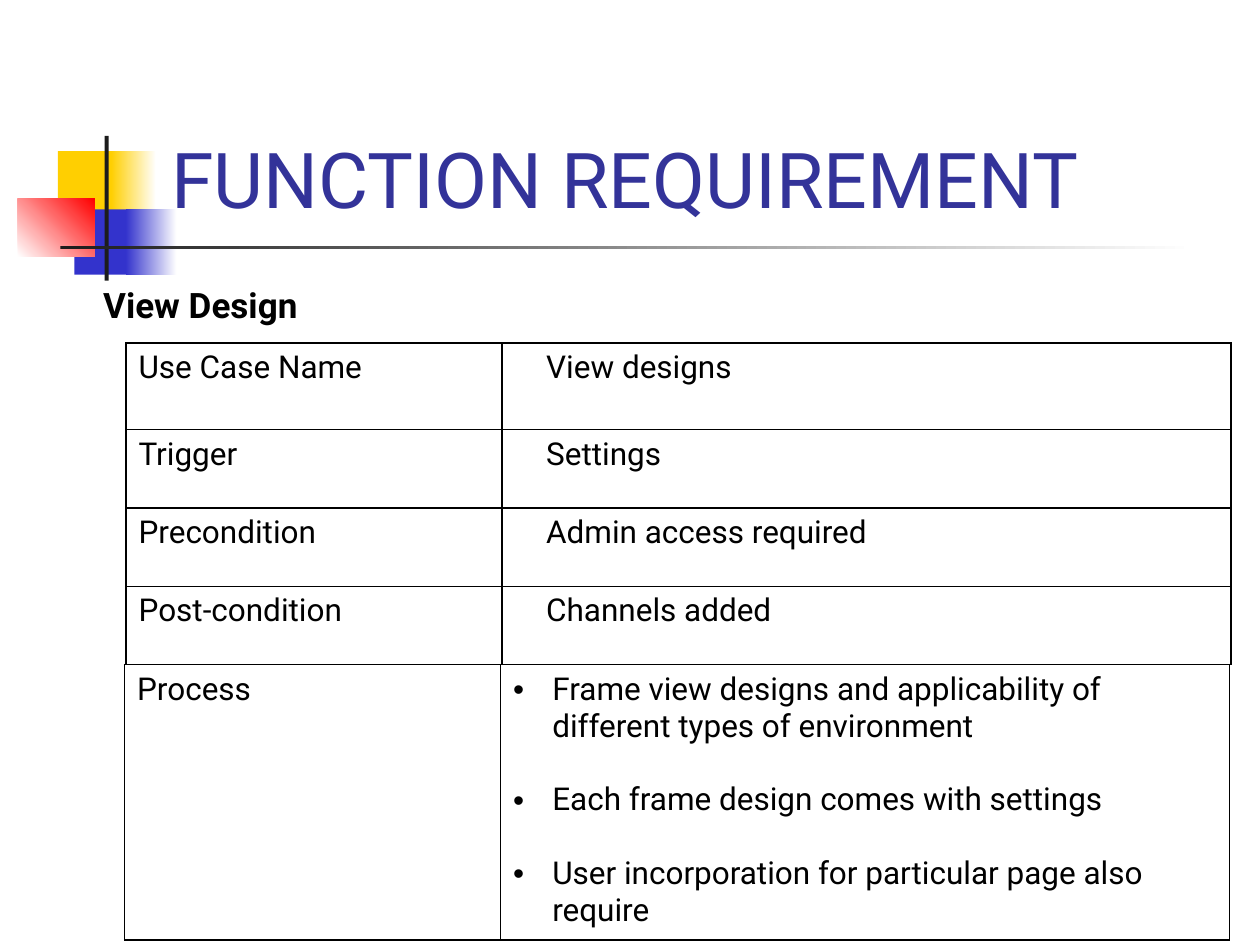
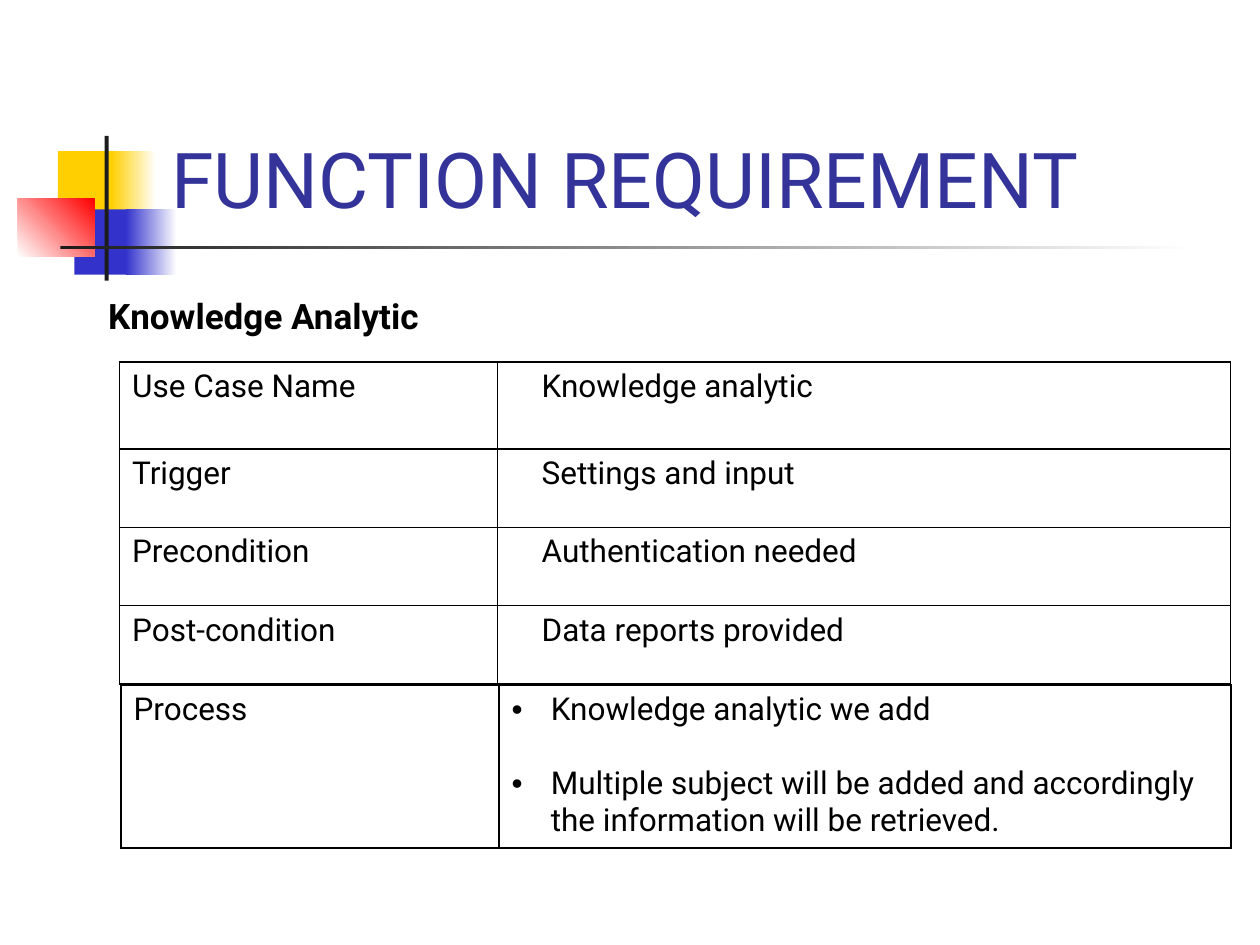
"""Build two use-case slides that share a title style and a corner ornament."""
from dataclasses import dataclass
from typing import Any, Optional

from lxml import etree
from pptx import Presentation
from pptx import util as u
from pptx.dml.color import RGBColor
from pptx.enum import shapes, text
from pptx.oxml import ns


@dataclass(frozen=True)
class Theme:
    font: str = "Roboto"
    title: str = "333399"
    ink: str = "000000"
    paper: str = "FFFFFF"
    yellow: str = "FFCF01"
    blue: str = "3333CC"
    red: str = "FF0000"
    charcoal: str = "1C1C1C"
    title_size: int = 44
    heading_size: int = 20
    body_size: int = 18
    bullet_gap: int = 21
    border_width: int = 1


THEME = Theme()


@dataclass(frozen=True)
class Box:
    left: float
    top: float
    width: float
    height: float

    def lengths(self) -> tuple[u.Cm, ...]:
        return tuple(u.Cm(value) for value in (self.left, self.top, self.width, self.height))


@dataclass(frozen=True)
class Block:
    box: Box
    color: str
    fade_to: Optional[str] = None
    angle: int = 0


@dataclass(frozen=True)
class Grid:
    left: float
    top: float
    columns: tuple[float, float]
    rows: tuple[float, ...]


@dataclass(frozen=True)
class UseCase:
    heading: str
    heading_box: Box
    facts_grid: Grid
    facts: tuple[str, str, str, str]
    process_grid: Grid
    steps: tuple[str, ...]


TITLE = "FUNCTION REQUIREMENT"
TITLE_BOX = Box(3.2, 0.58, 21.64, 4.06)
FACT_LABELS = ("Use Case Name", "Trigger", "Precondition", "Post-condition")
FACT_ROWS = (1.75, 1.58, 1.58, 1.58)
VALUE_MARGIN = 0.89
BULLET_INDENT = 0.79

ORNAMENT = (
    Block(Box(1.17, 3.05, 1.22, 1.32), THEME.yellow),
    Block(Box(2.24, 3.05, 0.91, 1.32), THEME.yellow, THEME.paper),
    Block(Box(1.5, 4.22, 1.17, 1.32), THEME.blue),
    Block(Box(2.54, 4.22, 1.02, 1.32), THEME.blue, THEME.paper),
    Block(Box(0.36, 4.01, 1.55, 1.17), THEME.paper, THEME.red, 45),
    Block(Box(2.11, 2.74, 0.08, 2.92), THEME.charcoal),
    Block(Box(1.22, 4.95, 22.86, 0.08), THEME.charcoal, THEME.paper),
)

USE_CASES = (
    UseCase(
        "View Design",
        Box(1.83, 5.59, 7.62, 1.12),
        Grid(2.54, 6.91, (7.58, 14.7), FACT_ROWS),
        ("View designs", "Settings", "Admin access required", "Channels added"),
        Grid(2.51, 13.4, (7.58, 14.7), (5.46,)),
        (
            "Frame view designs and applicability of different types of environment",
            "Each frame design comes with settings",
            "User incorporation for particular page also require",
        ),
    ),
    UseCase(
        "Knowledge Analytic",
        Box(1.93, 5.82, 7.62, 1.96),
        Grid(2.41, 7.3, (7.62, 14.78), FACT_ROWS),
        ("Knowledge analytic", "Settings and input", "Authentication needed", "Data reports provided"),
        Grid(2.44, 13.81, (7.62, 14.76), (3.25,)),
        (
            "Knowledge analytic we add",
            "Multiple subject will be added and accordingly the information will be retrieved.",
        ),
    ),
)


def apply_formats(target: Any, formats: dict[str, Any]) -> None:
    """Set every named attribute on the target."""
    for name, value in formats.items():
        setattr(target, name, value)


def write(paragraph: Any, content: str, size: int, color: str = THEME.ink, bold: bool = False) -> None:
    """Put one formatted run into the paragraph."""
    run = paragraph.add_run()
    run.text = content
    apply_formats(run.font, {"name": THEME.font, "size": u.Pt(size), "bold": bold})
    run.font.color.rgb = RGBColor.from_string(color)


def draw_block(slide: Any, block: Block) -> None:
    """Draw one solid or fading rectangle of the ornament."""
    shape = slide.shapes.add_shape(shapes.MSO_SHAPE.RECTANGLE, *block.box.lengths())
    shape.shadow.inherit = False
    shape.line.fill.background()
    if block.fade_to is None:
        shape.fill.solid()
        shape.fill.fore_color.rgb = RGBColor.from_string(block.color)
        return
    shape.fill.gradient()
    shape.fill.gradient_angle = block.angle
    for stop, color in zip(shape.fill.gradient_stops, (block.color, block.fade_to)):
        stop.color.rgb = RGBColor.from_string(color)


def draw_text(slide: Any, box: Box, content: str, anchor: Any, **style: Any) -> None:
    """Add a wrapped text box with a single paragraph."""
    frame = slide.shapes.add_textbox(*box.lengths()).text_frame
    apply_formats(frame, {"word_wrap": True, "vertical_anchor": anchor})
    write(frame.paragraphs[0], content, **style)


def style_cell(cell: Any) -> None:
    """Give the cell thin borders on all sides and no fill."""
    properties = cell._tc.get_or_add_tcPr()
    for side in ("a:lnL", "a:lnR", "a:lnT", "a:lnB"):
        line = etree.SubElement(properties, ns.qn(side), w=str(u.Pt(THEME.border_width)))
        fill = etree.SubElement(line, ns.qn("a:solidFill"))
        etree.SubElement(fill, ns.qn("a:srgbClr"), val=THEME.ink)
    cell.fill.background()


def draw_table(slide: Any, grid: Grid) -> Any:
    """Add a bordered table without a banded style."""
    box = Box(grid.left, grid.top, sum(grid.columns), sum(grid.rows))
    table = slide.shapes.add_table(len(grid.rows), len(grid.columns), *box.lengths()).table
    apply_formats(table, {"first_row": False, "horz_banding": False})
    for column, width in zip(table.columns, grid.columns):
        column.width = u.Cm(width)
    for row, height in zip(table.rows, grid.rows):
        row.height = u.Cm(height)
    for cell in table.iter_cells():
        style_cell(cell)
    return table


def draw_facts(slide: Any, case: UseCase) -> None:
    """Draw the table of labels and their values."""
    table = draw_table(slide, case.facts_grid)
    for index, (label, value) in enumerate(zip(FACT_LABELS, case.facts)):
        label_cell, value_cell = table.cell(index, 0), table.cell(index, 1)
        value_cell.margin_left = u.Cm(VALUE_MARGIN)
        write(label_cell.text_frame.paragraphs[0], label, THEME.body_size)
        write(value_cell.text_frame.paragraphs[0], value, THEME.body_size)


def draw_process(slide: Any, case: UseCase) -> None:
    """Draw the process row with its bulleted steps."""
    table = draw_table(slide, case.process_grid)
    write(table.cell(0, 0).text_frame.paragraphs[0], "Process", THEME.body_size)
    frame = table.cell(0, 1).text_frame
    for index, step in enumerate(case.steps):
        paragraph = frame.add_paragraph() if index else frame.paragraphs[0]
        write(paragraph, step, THEME.body_size)
        paragraph.space_before = u.Pt(THEME.bullet_gap if index else 0)
        properties = paragraph._p.get_or_add_pPr()
        indent = u.Cm(BULLET_INDENT)
        properties.set("marL", str(indent))
        properties.set("indent", str(-indent))
        etree.SubElement(properties, ns.qn("a:buFont"), typeface="Arial")
        etree.SubElement(properties, ns.qn("a:buChar"), char="•")


def draw_use_case(presentation: Any, case: UseCase) -> None:
    """Add one slide for the use case."""
    slide = presentation.slides.add_slide(presentation.slide_layouts[6])
    for block in ORNAMENT:
        draw_block(slide, block)
    draw_text(slide, TITLE_BOX, TITLE, text.MSO_ANCHOR.BOTTOM, size=THEME.title_size, color=THEME.title)
    draw_facts(slide, case)
    draw_process(slide, case)
    draw_text(slide, case.heading_box, case.heading, text.MSO_ANCHOR.TOP, size=THEME.heading_size, bold=True)


def main() -> None:
    """Build and save the presentation."""
    presentation = Presentation()
    apply_formats(presentation, {"slide_width": u.Cm(25.4), "slide_height": u.Cm(19.05)})
    for case in USE_CASES:
        draw_use_case(presentation, case)
    presentation.save("out.pptx")


if __name__ == "__main__":
    main()
